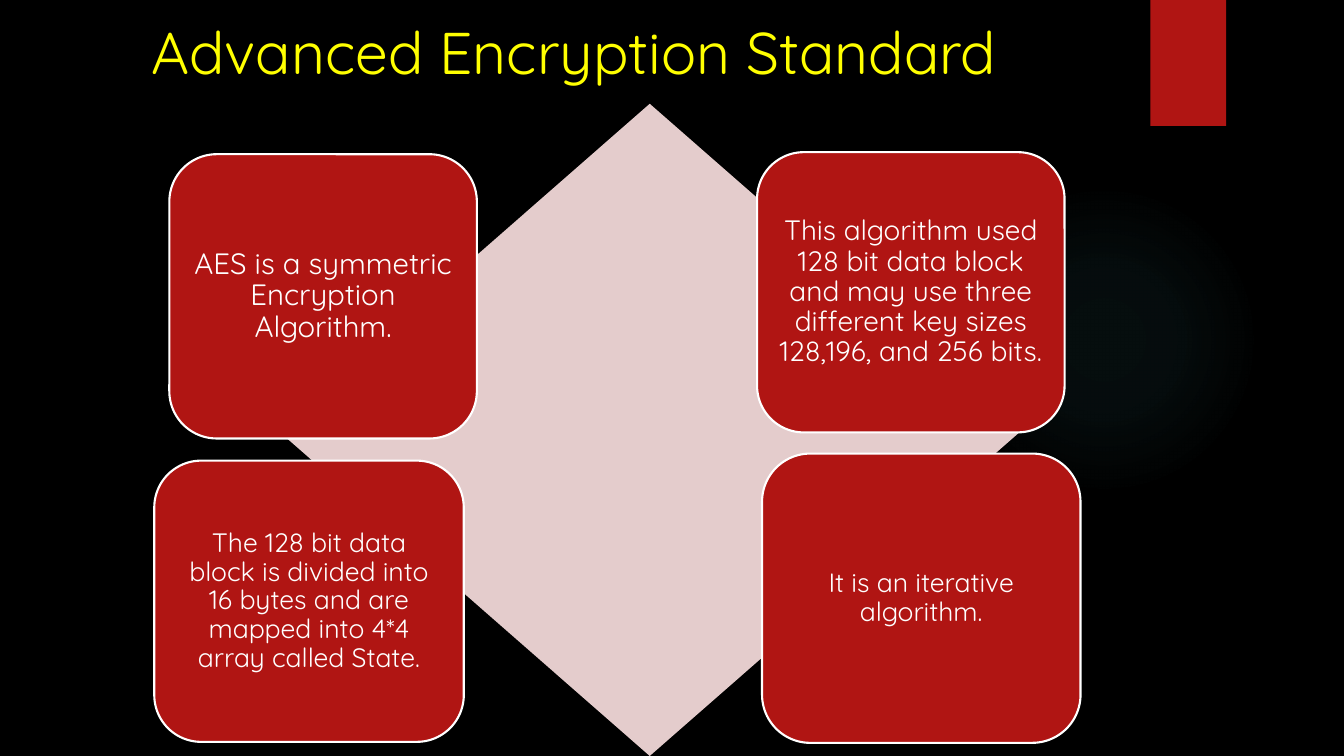
from dataclasses import dataclass

from lxml.etree import SubElement
from pptx import Presentation
from pptx.dml.color import RGBColor
from pptx.enum.shapes import MSO_SHAPE
from pptx.enum.text import MSO_ANCHOR, MSO_AUTO_SIZE, PP_ALIGN
from pptx.oxml.ns import qn
from pptx.util import Inches, Pt


@dataclass(frozen=True)
class Theme:
    font: str = "Quicksand"
    background: str = "000000"
    accent: str = "B01513"
    diamond: str = "E4CCCC"
    glow: str = "50B9C1"
    heading: str = "FFFF00"
    light: str = "FFFFFF"
    heading_size: int = 42
    large: int = 21
    medium: int = 20
    small: int = 19
    outline: float = 1.5


def write_text(frame, text, *, font, size, color, align, anchor, margin):
    frame.text = text
    frame.word_wrap = True
    frame.auto_size = MSO_AUTO_SIZE.NONE
    frame.vertical_anchor = anchor
    frame.margin_left = frame.margin_right = Inches(margin)
    frame.margin_top = frame.margin_bottom = Inches(min(margin, 0.08))
    paragraph = frame.paragraphs[0]
    paragraph.alignment = align
    paragraph.line_spacing = 0.9
    paragraph.font.name = font
    paragraph.font.size = Pt(size)
    paragraph.font.color.rgb = RGBColor.from_string(color)


class SlideBuilder:
    def __init__(self, presentation, theme):
        self.theme = theme
        self.width = presentation.slide_width
        self.height = presentation.slide_height
        self.slide = presentation.slides.add_slide(presentation.slide_layouts[5])
        backdrop = self.slide.background.fill
        backdrop.solid()
        backdrop.fore_color.rgb = RGBColor.from_string(theme.background)

    def place(self, left, top, width, height):
        return (
            round(self.width * left / 100),
            round(self.height * top / 100),
            round(self.width * width / 100),
            round(self.height * height / 100),
        )

    def title(self, text, area):
        heading = self.slide.shapes.title
        heading.left, heading.top, heading.width, heading.height = self.place(*area)
        write_text(
            heading.text_frame, text, font=self.theme.font,
            size=self.theme.heading_size, color=self.theme.heading,
            align=PP_ALIGN.LEFT, anchor=MSO_ANCHOR.TOP, margin=0.1,
        )

    def block(self, kind, area, color):
        block = self.slide.shapes.add_shape(kind, *self.place(*area))
        block.shadow.inherit = False
        block.fill.solid()
        block.fill.fore_color.rgb = RGBColor.from_string(color)
        block.line.fill.background()
        return block

    def glow(self, area, stops):
        halo = self.block(MSO_SHAPE.OVAL, area, self.theme.glow)
        halo.fill.gradient()
        gradient = halo.fill._fill._gradFill
        for child in list(gradient):
            gradient.remove(child)
        stop_list = SubElement(gradient, qn("a:gsLst"))
        for position, opacity in stops:
            stop = SubElement(stop_list, qn("a:gs"), pos=str(position * 1000))
            color = SubElement(stop, qn("a:srgbClr"), val=self.theme.glow)
            SubElement(color, qn("a:alpha"), val=str(opacity * 1000))
        radial = SubElement(gradient, qn("a:path"), path="circle")
        SubElement(
            radial, qn("a:fillToRect"),
            {side: "50000" for side in ("l", "t", "r", "b")},
        )

    def card(self, text, area, size):
        card = self.block(MSO_SHAPE.ROUNDED_RECTANGLE, area, self.theme.accent)
        card.line.color.rgb = RGBColor.from_string(self.theme.light)
        card.line.width = Pt(self.theme.outline)
        write_text(
            card.text_frame, text, font=self.theme.font, size=size,
            color=self.theme.light, align=PP_ALIGN.CENTER,
            anchor=MSO_ANCHOR.MIDDLE, margin=0.08,
        )


def main():
    presentation = Presentation()
    presentation.slide_width = Inches(13.33)
    presentation.slide_height = Inches(7.5)
    theme = Theme()
    builder = SlideBuilder(presentation, theme)

    builder.glow((70.58, 24.4, 23.1, 41.07), ((0, 7), (36, 6), (69, 0)))
    builder.block(MSO_SHAPE.RECTANGLE, (85.6, 0, 5.63, 16.67), theme.accent)
    builder.title("Advanced Encryption Standard", (10.5, 2.13, 77.2, 20.4))
    builder.block(MSO_SHAPE.DIAMOND, (20.63, 13.73, 55.43, 86.27), theme.diamond)

    facts = (
        ("AES is a symmetric Encryption Algorithm.",
         (12.6, 20.4, 22.88, 37.6), theme.large),
        ("This algorithm used 128 bit data block and may use three different "
         "key sizes 128,196, and 256 bits.",
         (56.33, 20.13, 22.88, 37.07), theme.medium),
        ("The 128 bit data block is divided into 16 bytes and are mapped into "
         "4*4 array called State.",
         (11.48, 60.93, 23.03, 37.2), theme.small),
        ("It is an iterative algorithm.",
         (56.7, 60, 23.7, 38.27), theme.small),
    )
    for fact, area, size in facts:
        builder.card(fact, area, size)

    presentation.save("out.pptx")


if __name__ == "__main__":
    main()
